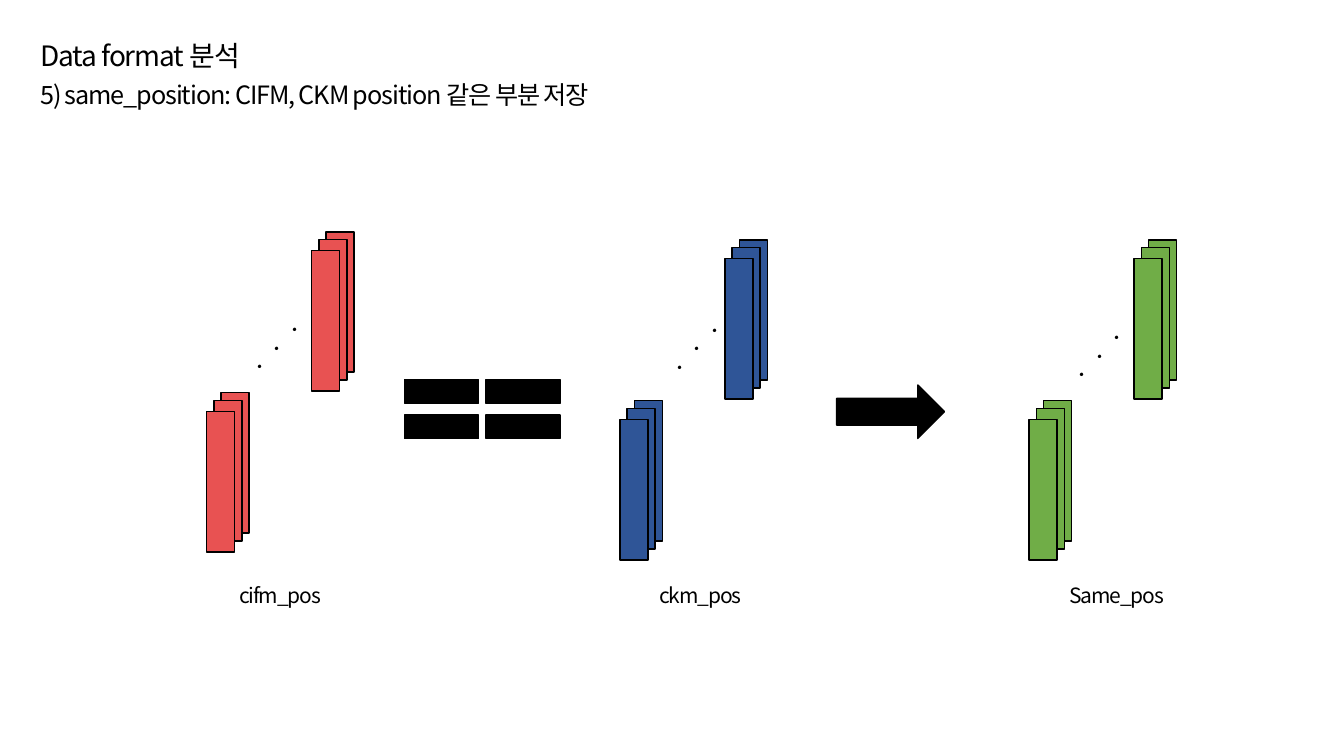
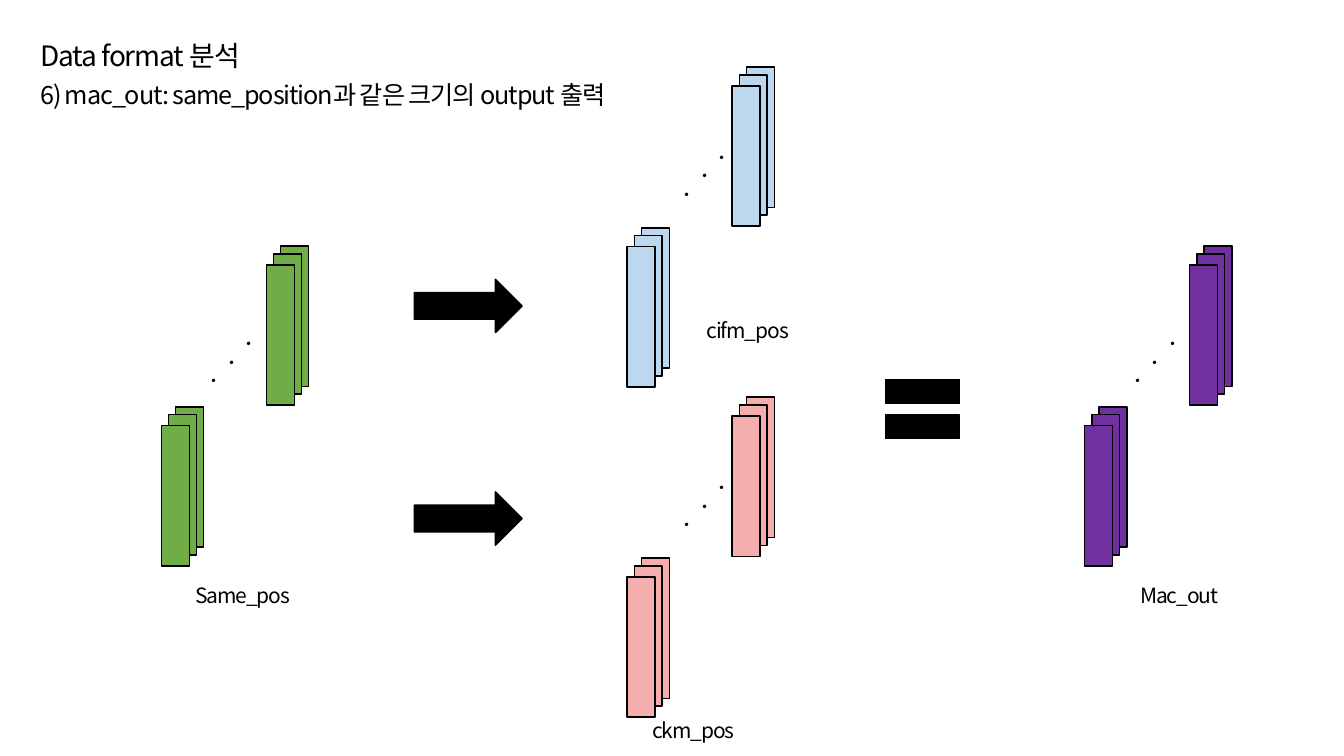
import itertools

import lxml.etree
import pptx
import pptx.dml.color
import pptx.enum.shapes
import pptx.enum.text
import pptx.oxml.ns
import pptx.util

SHAPES = pptx.enum.shapes.MSO_SHAPE
ALIGN = pptx.enum.text.PP_ALIGN
BLACK, RED, BLUE, GREEN = "000000", "E85252", "2F5597", "70AD47"
SKY, PINK, PURPLE = "BDD7EE", "F4AEAE", "7030A0"
TALL_DOTS = 12.12


def color(value):
    return pptx.dml.color.RGBColor.from_string(value)


def apply(target, values):
    for name, value in values.items():
        setattr(target, name, value)


class Deck:
    COLUMNS, ROWS = 160, 90
    FONT = "Noto Sans CJK KR"
    HEADING = {"alignment": ALIGN.JUSTIFY, "space_after": pptx.util.Pt(8.5)}
    CENTERED = {"alignment": ALIGN.CENTER}
    CARD = (3.33, 16.7)
    CARD_OFFSETS = ((1.72, 0), (0.86, 0.94), (0, 2.25))
    GROUP_OFFSETS = ((12.5, 0), (0, 19.15))

    def __init__(self):
        self.presentation = pptx.Presentation()
        apply(self.presentation, {
            "slide_width": pptx.util.Inches(13.33),
            "slide_height": pptx.util.Inches(7.5),
        })
        self.slide = None

    def place(self, left, top, width, height):
        column = self.presentation.slide_width / self.COLUMNS
        row = self.presentation.slide_height / self.ROWS
        return [round(cells * unit) for cells, unit in
                zip((left, top, width, height), (column, row, column, row))]

    def text(self, box, lines, layout):
        shape = self.slide.shapes.add_textbox(*self.place(*box))
        frame = shape.text_frame
        apply(frame, {
            "word_wrap": True,
            "auto_size": pptx.enum.text.MSO_AUTO_SIZE.SHAPE_TO_FIT_TEXT,
        })
        for index, (words, size) in enumerate(lines):
            paragraph = frame.add_paragraph() if index else frame.paragraphs[0]
            apply(paragraph, {"line_spacing": 0.84, **layout})
            run = paragraph.add_run()
            run.text = words
            apply(run.font, {"size": pptx.util.Pt(size), "name": self.FONT})
            run.font.color.rgb = color(BLACK)
            properties = run._r.get_or_add_rPr()
            properties.set("spc", "-80")
            east_asian = lxml.etree.SubElement(properties, pptx.oxml.ns.qn("a:ea"))
            east_asian.set("typeface", self.FONT)
        return shape

    def shape(self, kind, box, fill=BLACK):
        shape = self.slide.shapes.add_shape(kind, *self.place(*box))
        shape.shadow.inherit = False
        shape.fill.solid()
        shape.fill.fore_color.rgb = color(fill)
        shape.line.color.rgb = color(BLACK)
        shape.line.width = pptx.util.Pt(1)

    def new_slide(self, subtitle):
        self.slide = self.presentation.slides.add_slide(self.presentation.slide_layouts[6])
        lines = [("Data format 분석", 20), (subtitle, 18)]
        self.text((3.6, 4.68, 136.3, 10.44), lines, self.HEADING)

    def stack(self, left, top, fill, dots_height=9.72):
        for group, card in itertools.product(self.GROUP_OFFSETS, self.CARD_OFFSETS):
            corner = (left + group[0] + card[0], top + group[1] + card[1])
            self.shape(SHAPES.RECTANGLE, corner + self.CARD, fill)
        dots_top = top + 13 - dots_height / 2
        dots = self.text((left + 7.56, dots_top, 2.76, dots_height),
                         [(".", 18)] * 3, self.CENTERED)
        dots.rotation = 43.4

    def arrow(self, left, top):
        self.shape(SHAPES.RIGHT_ARROW, (left, top, 12.84, 6.36))

    def equals(self, left):
        self.shape(SHAPES.MATH_EQUAL, (left, 42.72, 12, 12))

    def label(self, words, left, top=69.24):
        self.text((left, top, 17.5, 4.2), [(words, 15)], self.CENTERED)


deck = Deck()

deck.new_slide("5) same_position: CIFM, CKM position 같은 부분 저장")
deck.stack(24.6, 27.6, RED)
deck.stack(73.8, 28.56, BLUE, TALL_DOTS)
deck.stack(122.52, 28.56, GREEN)
deck.equals(56.28)
deck.equals(46.56)
deck.arrow(99.6, 45.84)
deck.label("cifm_pos", 24.6)
deck.label("ckm_pos", 74.64)
deck.label("Same_pos", 124.2)

deck.new_slide("6) mac_out: same_position과 같은 크기의 output 출력")
deck.stack(19.2, 29.28, GREEN)
deck.stack(74.64, 7.98, SKY, TALL_DOTS)
deck.stack(74.64, 47.28, PINK, TALL_DOTS)
deck.arrow(49.32, 33.24)
deck.arrow(49.32, 58.56)
deck.equals(103.8)
deck.stack(129.12, 29.28, PURPLE)
deck.label("Same_pos", 20.16)
deck.label("ckm_pos", 73.8, 85.32)
deck.label("cifm_pos", 80.28, 37.68)
deck.label("Mac_out", 131.64)

deck.presentation.save("out.pptx")
